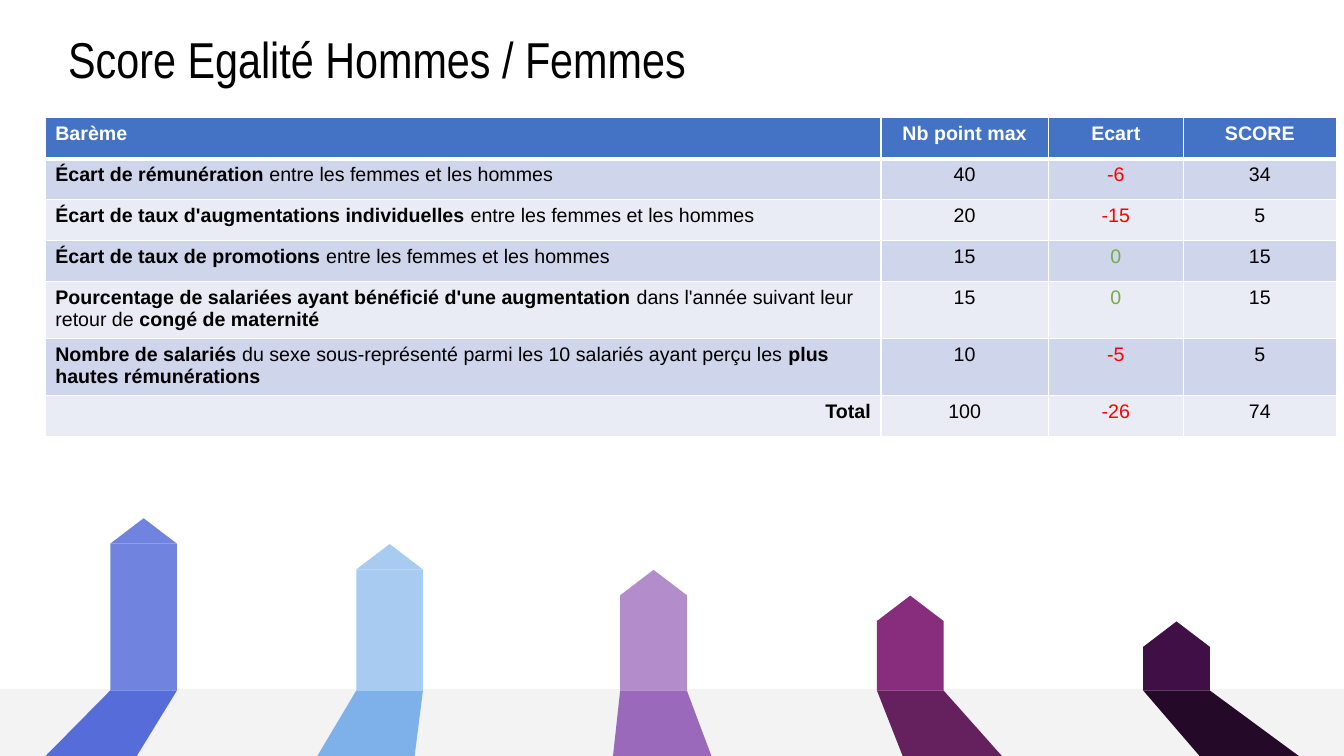
"""Build the gender equality score slide: score table above a row of houses."""
from dataclasses import dataclass

from lxml import etree
from pptx import Presentation
from pptx.dml.color import RGBColor
from pptx.enum.shapes import MSO_SHAPE
from pptx.enum.text import MSO_ANCHOR, PP_ALIGN
from pptx.oxml.ns import qn
from pptx.util import Cm, Pt

RECT, TRIANGLE = MSO_SHAPE.RECTANGLE, MSO_SHAPE.ISOSCELES_TRIANGLE
LEFT, CENTER, RIGHT = PP_ALIGN.LEFT, PP_ALIGN.CENTER, PP_ALIGN.RIGHT
TOP = MSO_ANCHOR.TOP

BLACK = RGBColor(0x00, 0x00, 0x00)
WHITE = RGBColor(0xFF, 0xFF, 0xFF)
RED = RGBColor(0xFF, 0x00, 0x00)
GREEN = RGBColor(0x70, 0xAD, 0x47)
HEADER = RGBColor(0x44, 0x72, 0xC4)
BAND_DARK = RGBColor(0xCF, 0xD5, 0xEA)
BAND_LIGHT = RGBColor(0xE9, 0xEB, 0xF5)
FLOOR = RGBColor(0xF3, 0xF3, 0xF3)

SLIDE_W, SLIDE_H = 33.87, 19.05
FLOOR_TOP = 17.36
HOUSE_BOTTOM, HOUSE_W, ROOF_H = 17.4, 1.68, 0.64
WALL_TOP, WALL_STEP = 13.7, 0.65
SHADOW_BOTTOM = 19.13
COLUMN_WIDTHS = (21.06, 4.22, 3.4, 3.86)
ROW_H = 1.03


@dataclass(frozen=True)
class House:
    """Wall left, shadow foot ends and the two colours of a house."""
    left: float
    foot_left: float
    foot_right: float
    wall: RGBColor
    shadow: RGBColor


@dataclass(frozen=True)
class Criterion:
    """One scored line; asterisks enclose the bold words of its label."""
    label: str
    points: int
    gap: int
    align: PP_ALIGN = LEFT

    @property
    def score(self) -> int:
        """Points left once the gap is deducted."""
        return self.points + self.gap


HOUSES = (
    House(2.78, 1.07, 3.4, RGBColor(0x70, 0x83, 0xDE), RGBColor(0x56, 0x6C, 0xD8)),
    House(8.98, 7.95, 10.44, RGBColor(0xA7, 0xCB, 0xF1), RGBColor(0x7E, 0xB1, 0xEA)),
    House(15.63, 15.44, 17.96, RGBColor(0xB2, 0x8C, 0xCB), RGBColor(0x9A, 0x69, 0xBB)),
    House(22.1, 22.78, 25.32, RGBColor(0x88, 0x2C, 0x7D), RGBColor(0x65, 0x21, 0x5D)),
    House(28.81, 30.3, 32.84, RGBColor(0x3F, 0x0F, 0x45), RGBColor(0x25, 0x09, 0x29)),
)

HEADINGS = ("Barème", "Nb point max", "Ecart", "SCORE")
CRITERIA = (
    Criterion("*Écart de rémunération* entre les femmes et les hommes", 40, -6),
    Criterion("*Écart de taux d'augmentations individuelles* entre les femmes et les hommes", 20, -15),
    Criterion("*Écart de taux de promotions* entre les femmes et les hommes", 15, 0),
    Criterion("*Pourcentage de salariées ayant bénéficié d'une augmentation* dans l'année "
              "suivant leur retour de *congé de maternité*", 15, 0),
    Criterion("*Nombre de salariés* du sexe sous-représenté parmi les 10 salariés ayant "
              "perçu les *plus hautes rémunérations*", 10, -5),
)
TOTAL = Criterion("*Total*", sum(c.points for c in CRITERIA), sum(c.gap for c in CRITERIA), RIGHT)


def paint(sp, color: RGBColor) -> None:
    """Give a shape a plain fill without line or shadow."""
    sp.shadow.inherit = False
    sp.fill.solid()
    sp.fill.fore_color.rgb = color
    sp.line.fill.background()


def add_block(s, kind, left: float, top: float, width: float, height: float, color: RGBColor) -> None:
    """Add a plain preset shape."""
    paint(s.shapes.add_shape(kind, Cm(left), Cm(top), Cm(width), Cm(height)), color)


def add_house(s, house: House, wall_top: float) -> None:
    """Draw the cast shadow, wall and roof of a house."""
    fb = s.shapes.build_freeform(Cm(house.foot_left), Cm(SHADOW_BOTTOM))
    fb.add_line_segments([
        (Cm(house.left), Cm(HOUSE_BOTTOM)),
        (Cm(house.left + HOUSE_W), Cm(HOUSE_BOTTOM)),
        (Cm(house.foot_right), Cm(SHADOW_BOTTOM)),
    ], close=True)
    paint(fb.convert_to_shape(), house.shadow)
    add_block(s, RECT, house.left, wall_top, HOUSE_W, HOUSE_BOTTOM - wall_top, house.wall)
    add_block(s, TRIANGLE, house.left, wall_top - ROOF_H, HOUSE_W, ROOF_H, house.wall)


def write(p, text: str, color: RGBColor, name: str = "Arial", size: int = 14) -> None:
    """Write text as runs, bold between asterisks."""
    for i, part in enumerate(text.split("*")):
        if part:
            r = p.add_run()
            r.text = part
            for key, value in {"name": name, "size": Pt(size), "bold": i % 2 == 1}.items():
                setattr(r.font, key, value)
            r.font.color.rgb = color


def set_borders(cell, top: int, bottom: int) -> None:
    """Outline a cell in white with the given top and bottom weights."""
    tc_pr = cell._tc.get_or_add_tcPr()
    weights = {"a:lnL": 1, "a:lnR": 1, "a:lnT": top, "a:lnB": bottom}
    for i, (tag, weight) in enumerate(weights.items()):
        ln = etree.Element(qn(tag), w=str(Pt(weight)))
        fill = etree.SubElement(ln, qn("a:solidFill"))
        etree.SubElement(fill, qn("a:srgbClr"), val=str(WHITE))
        tc_pr.insert(i, ln)


def fill_row(table, row: int, texts, colors, align: PP_ALIGN, fill: RGBColor) -> None:
    """Fill and format one table row."""
    for col, (text, color) in enumerate(zip(texts, colors)):
        cell = table.cell(row, col)
        cell.fill.solid()
        cell.fill.fore_color.rgb = fill
        set_borders(cell, 3 if row == 1 else 1, 3 if row == 0 else 1)
        p = cell.text_frame.paragraphs[0]
        p.alignment = CENTER if col else align
        write(p, text, color)


def add_score_table(s) -> None:
    """Add the table of criteria with its total."""
    lines = (*CRITERIA, TOTAL)
    count = len(lines) + 1
    table = s.shapes.add_table(count, len(HEADINGS), Cm(1.14), Cm(2.97),
                               Cm(sum(COLUMN_WIDTHS)), Cm(ROW_H * count)).table
    for column, width in zip(table.columns, COLUMN_WIDTHS):
        column.width = Cm(width)
    for row in table.rows:
        row.height = Cm(ROW_H)
    fill_row(table, 0, [f"*{h}*" for h in HEADINGS], [WHITE] * len(HEADINGS), LEFT, HEADER)
    for i, line in enumerate(lines, 1):
        texts = (line.label, str(line.points), str(line.gap), str(line.score))
        colors = (BLACK, BLACK, RED if line.gap else GREEN, BLACK)
        fill_row(table, i, texts, colors, line.align, BAND_DARK if i % 2 else BAND_LIGHT)


def add_title(s) -> None:
    """Add the slide title."""
    tf = s.shapes.add_textbox(Cm(1.47), Cm(0.76), Cm(31.52), Cm(2.59)).text_frame
    for key, value in {"word_wrap": True, "vertical_anchor": TOP}.items():
        setattr(tf, key, value)
    p = tf.paragraphs[0]
    p.line_spacing = 0.9
    write(p, "Score Egalité Hommes / Femmes", BLACK, "Arial Narrow", 36)


def main() -> None:
    """Build and save the slide."""
    prs = Presentation()
    prs.slide_width, prs.slide_height = Cm(SLIDE_W), Cm(SLIDE_H)
    s = prs.slides.add_slide(prs.slide_layouts[6])
    add_block(s, RECT, 0, FLOOR_TOP, SLIDE_W, SLIDE_H - FLOOR_TOP, FLOOR)
    for i, house in enumerate(HOUSES):
        add_house(s, house, WALL_TOP + WALL_STEP * i)
    add_title(s)
    add_score_table(s)
    prs.save("out.pptx")


if __name__ == "__main__":
    main()
